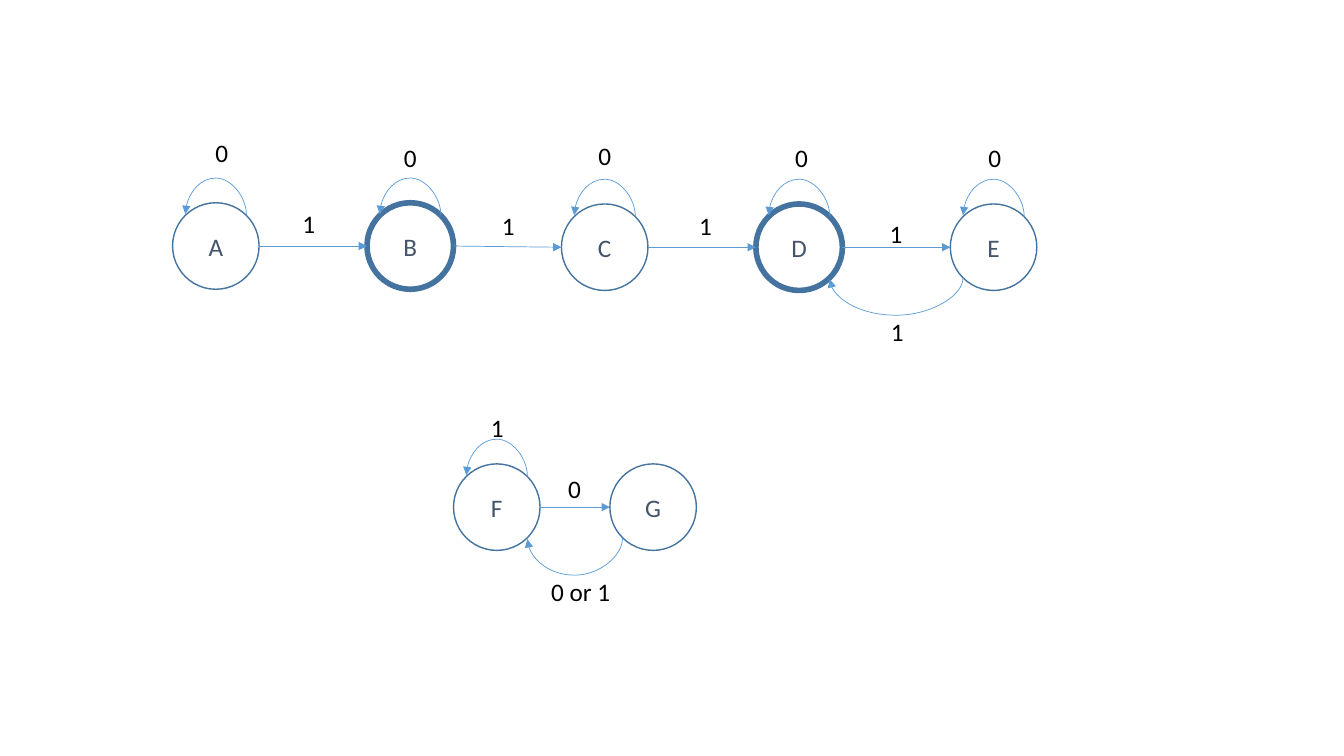
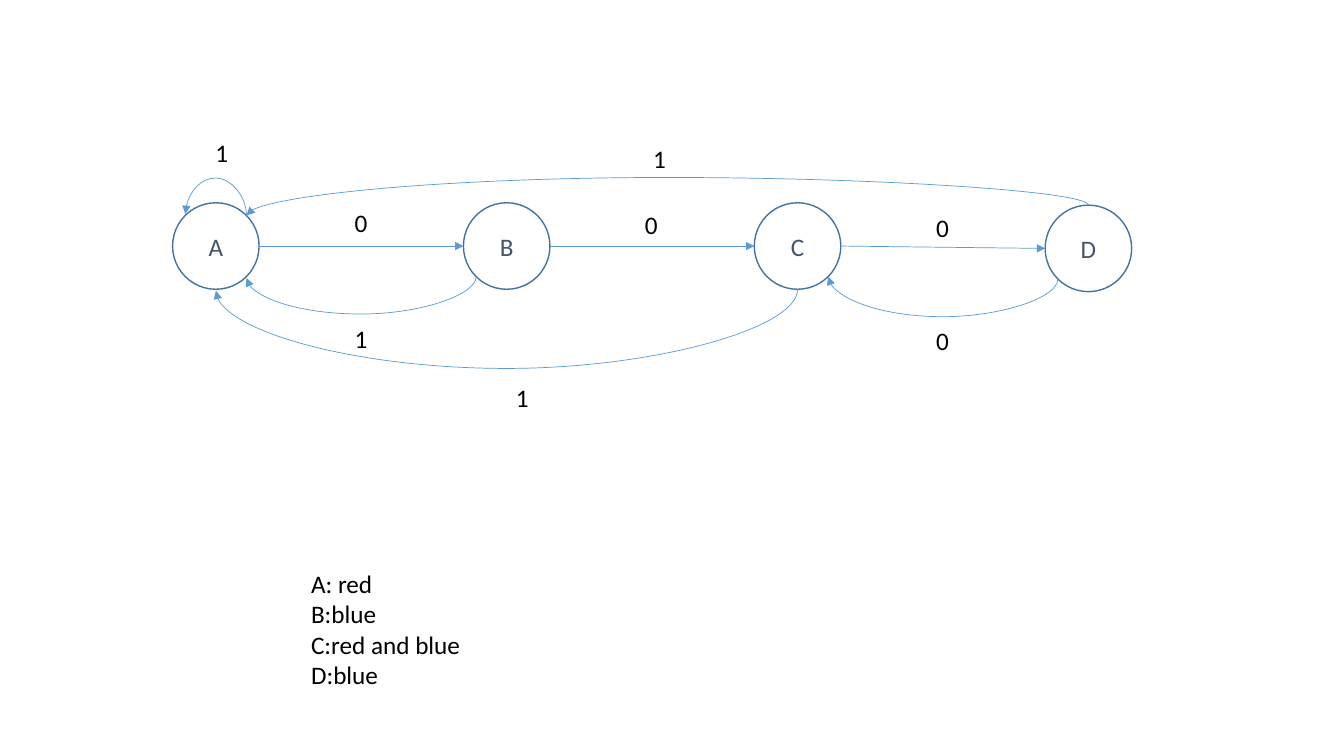
from math import cos, radians, sin

from lxml import etree
from pptx import Presentation
from pptx.dml.color import RGBColor
from pptx.enum.shapes import MSO_CONNECTOR, MSO_SHAPE
from pptx.enum.text import MSO_ANCHOR, MSO_AUTO_SIZE, PP_ALIGN
from pptx.oxml.ns import qn
from pptx.util import Cm, Pt

NODE_LINE, NODE_TEXT, EDGE, LABEL = "43739E", "44546A", "5B9BD5", "000000"
RADIUS = 1.09
LABEL_SIZE = (0.84, 1.02)
THIN, THICK = 1, 4
MIN_RISE = 12700  # EMU; a curve between level ends needs some height

# Edge styles: start site, end site, bulge in cm (positive is downwards).
# Sites run counter-clockwise around a circle in steps of 45 degrees from the top.
STRAIGHT = (6, 2, 0)
LOOP = (7, 1, -0.95)
BACK = (3, 5, 0.95)
WIDE_BACK = (4, 4, 2.01)
OVER_TOP = (0, 7, -0.7)

# Nodes: name -> centre x, centre y, outline width.
# Edges: source, target, style, label, label left, label top.
# Notes: text, left, top, width, height.
DIAGRAMS = [
    {
        "nodes": {
            **{name: (5.44 + 4.9 * i, y, width) for i, (name, y, width) in enumerate(
                [("A", 6.2, THIN), ("B", 6.2, THICK), ("C", 6.23, THIN),
                 ("D", 6.23, THICK), ("E", 6.23, THIN)])},
            "F": (12.52, 12.78, THIN),
            "G": (16.46, 12.78, THIN),
        },
        "edges": [
            ("A", "A", LOOP, "0", 5.18, 3.33),
            ("B", "B", LOOP, "0", 9.93, 3.45),
            ("C", "C", LOOP, "0", 14.83, 3.4),
            ("D", "D", LOOP, "0", 19.79, 3.45),
            ("E", "E", LOOP, "0", 24.66, 3.45),
            ("A", "B", STRAIGHT, "1", 7.37, 5.13),
            ("B", "C", STRAIGHT, "1", 12.4, 5.18),
            ("C", "D", STRAIGHT, "1", 17.37, 5.18),
            ("D", "E", STRAIGHT, "1", 22.17, 5.38),
            ("E", "D", BACK, "1", 22.2, 7.85),
            ("F", "F", LOOP, "1", 12.12, 10.26),
            ("F", "G", STRAIGHT, "0", 14.07, 11.79),
        ],
        "notes": [("0 or 1", 13.64, 14.4, 2.01, 1.02)],
        "unlabelled": [("G", "F", BACK)],
    },
    {
        "nodes": {name: (5.44 + 7.33 * i, y, THIN) for i, (name, y) in enumerate(
            [("A", 6.2), ("B", 6.2), ("C", 6.2), ("D", 6.26)])},
        "edges": [
            ("A", "A", LOOP, "1", 5.18, 3.33),
            ("A", "B", STRAIGHT, "0", 8.69, 5.11),
            ("B", "C", STRAIGHT, "0", 16, 5.16),
            ("C", "D", STRAIGHT, "0", 23.34, 5.23),
            ("B", "A", BACK, "1", 8.69, 8.03),
            ("D", "C", BACK, "0", 23.34, 8.08),
            ("C", "A", WIDE_BACK, "1", 12.75, 9.5),
            ("D", "A", OVER_TOP, "1", 16.21, 3.48),
        ],
        "notes": [("A: red\nB:blue\nC:red and blue\nD:blue", 7.59, 14.2, 4.32, 3.33)],
        "unlabelled": [],
    },
]


def paint(target, color):
    """Give a font or a line a solid colour from a hex string."""
    target.fill.solid()
    target.fill.fore_color.rgb = RGBColor.from_string(color)


def write(shape, text, color, align):
    """Write text into a shape in the shared font, one paragraph per line."""
    shape.text_frame.text = text
    for paragraph in shape.text_frame.paragraphs:
        paragraph.alignment = align
        font = paragraph.runs[0].font
        font.name, font.size = "Calibri", Pt(18)
        paint(font, color)


prs = Presentation()
prs.slide_width, prs.slide_height = Cm(33.87), Cm(19.05)

for diagram in DIAGRAMS:
    slide = prs.slides.add_slide(prs.slide_layouts[6])
    nodes = diagram["nodes"]

    circles = {}
    for name, (x, y, width) in nodes.items():
        circle = slide.shapes.add_shape(
            MSO_SHAPE.OVAL, Cm(x - RADIUS), Cm(y - RADIUS), Cm(2 * RADIUS), Cm(2 * RADIUS))
        circle.shadow.inherit = False
        circle.fill.background()
        paint(circle.line, NODE_LINE)
        circle.line.width = Pt(width)
        circle.text_frame.vertical_anchor = MSO_ANCHOR.MIDDLE
        write(circle, name, NODE_TEXT, PP_ALIGN.CENTER)
        circles[name] = circle

    arrows = [edge[:3] for edge in diagram["edges"]] + diagram["unlabelled"]
    for source, target, (start_site, end_site, bulge) in arrows:
        (x1, y1), (x2, y2) = [
            (Cm(nodes[name][0] - RADIUS * sin(radians(45 * site))),
             Cm(nodes[name][1] - RADIUS * cos(radians(45 * site))))
            for name, site in ((source, start_site), (target, end_site))]

        if bulge == 0:
            arrow = slide.shapes.add_connector(MSO_CONNECTOR.STRAIGHT, x1, y1, x2, y2)
        else:
            # The curve is laid out upright, then turned a quarter about its centre.
            below = bulge > 0
            rise = y2 - y1
            if abs(rise) < MIN_RISE:
                rise = MIN_RISE if below else -MIN_RISE
            width, height = abs(rise), x1 - x2
            left = (x1 + x2 - width) // 2
            top = y1 + (rise - height) // 2
            arrow = slide.shapes.add_connector(
                MSO_CONNECTOR.CURVE, left, top, left + width, top + height)
            xfrm = arrow._element.spPr.find(qn("a:xfrm"))
            xfrm.set("rot", str((90 if below else 270) * 60000))
            if below != (rise > 0):
                xfrm.set("flipH", "1")
            if not below:
                xfrm.set("flipV", "1")
            adjustments = arrow._element.spPr.find(qn("a:prstGeom")).find(qn("a:avLst"))
            etree.SubElement(adjustments, qn("a:gd"), name="adj1",
                             fmla=f"val {round(Cm(bulge) / rise * 100000)}")

        paint(arrow.line, EDGE)
        arrow.line.width = Pt(0.5)
        properties = arrow._element.spPr
        etree.SubElement(properties.find(qn("a:ln")), qn("a:tailEnd"), type="triangle")
        etree.SubElement(properties, qn("a:effectLst"))
        ends = arrow._element.find(".//" + qn("p:cNvCxnSpPr"))
        for tag, name, site in (("a:stCxn", source, start_site), ("a:endCxn", target, end_site)):
            etree.SubElement(ends, qn(tag), id=str(circles[name].shape_id), idx=str(site))

    labels = [(*edge[3:], *LABEL_SIZE) for edge in diagram["edges"]] + diagram["notes"]
    for text, *box in labels:
        label = slide.shapes.add_textbox(*map(Cm, box))
        label.text_frame.word_wrap = False
        label.text_frame.auto_size = MSO_AUTO_SIZE.SHAPE_TO_FIT_TEXT
        write(label, text, LABEL, PP_ALIGN.LEFT)

prs.save("out.pptx")
